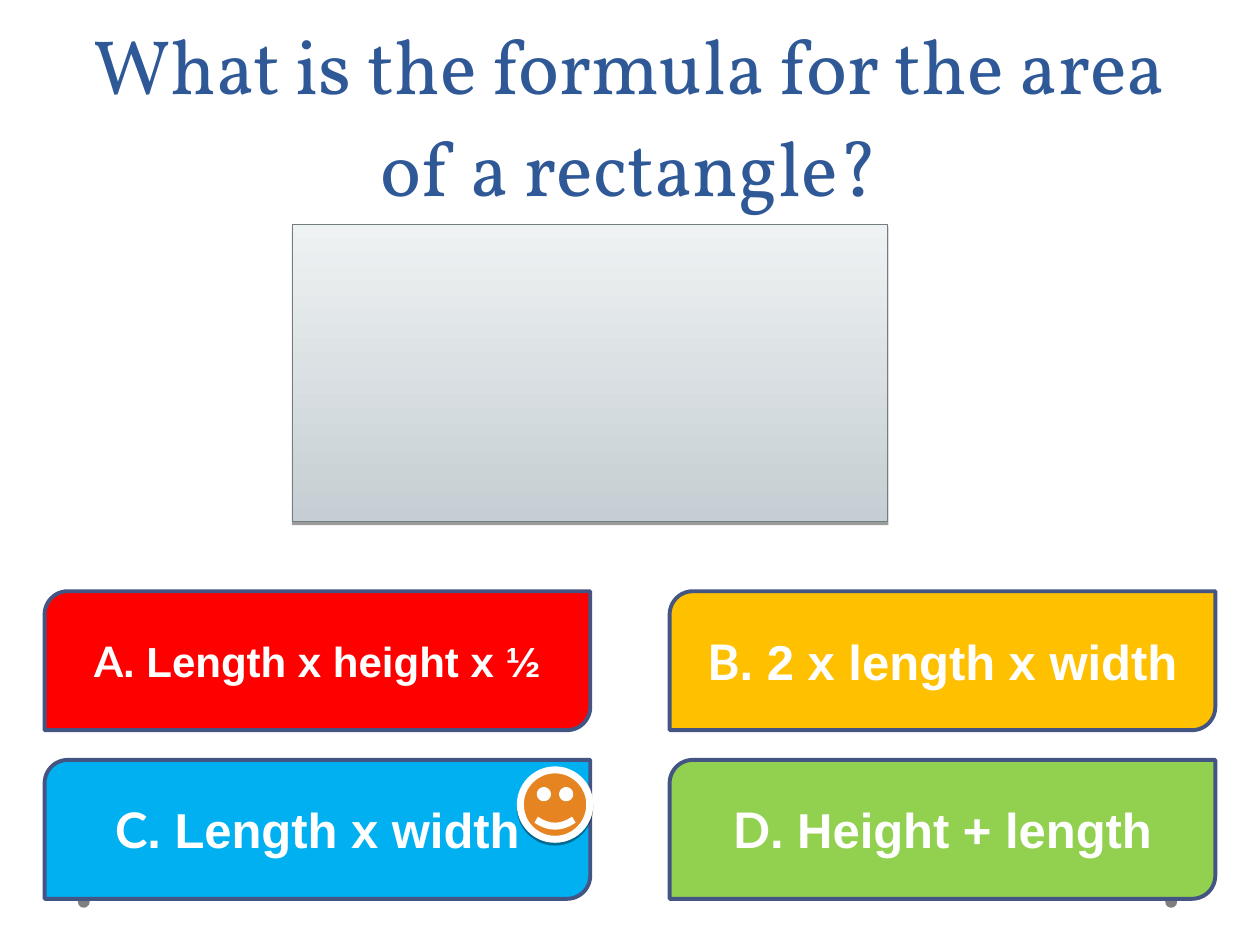
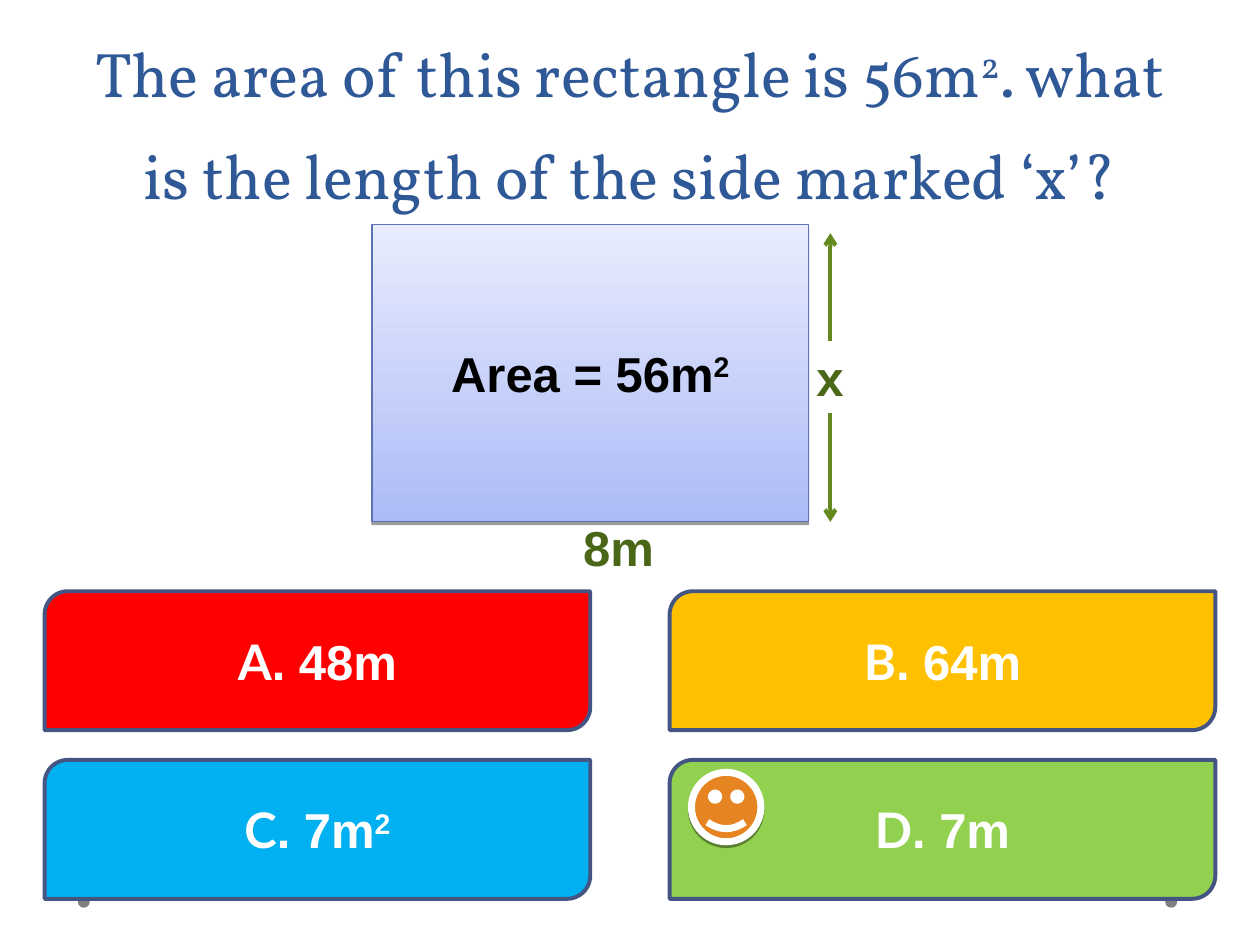
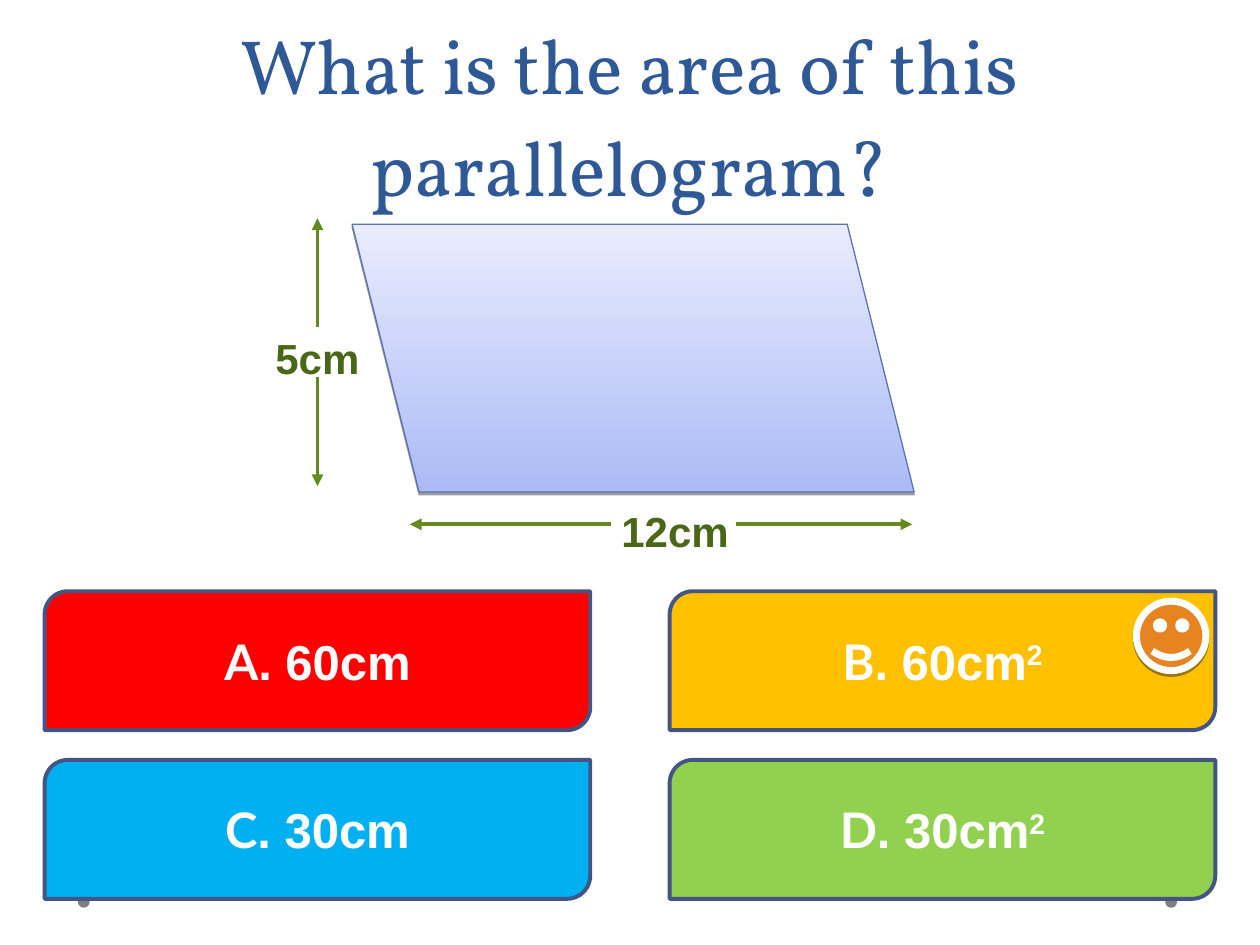
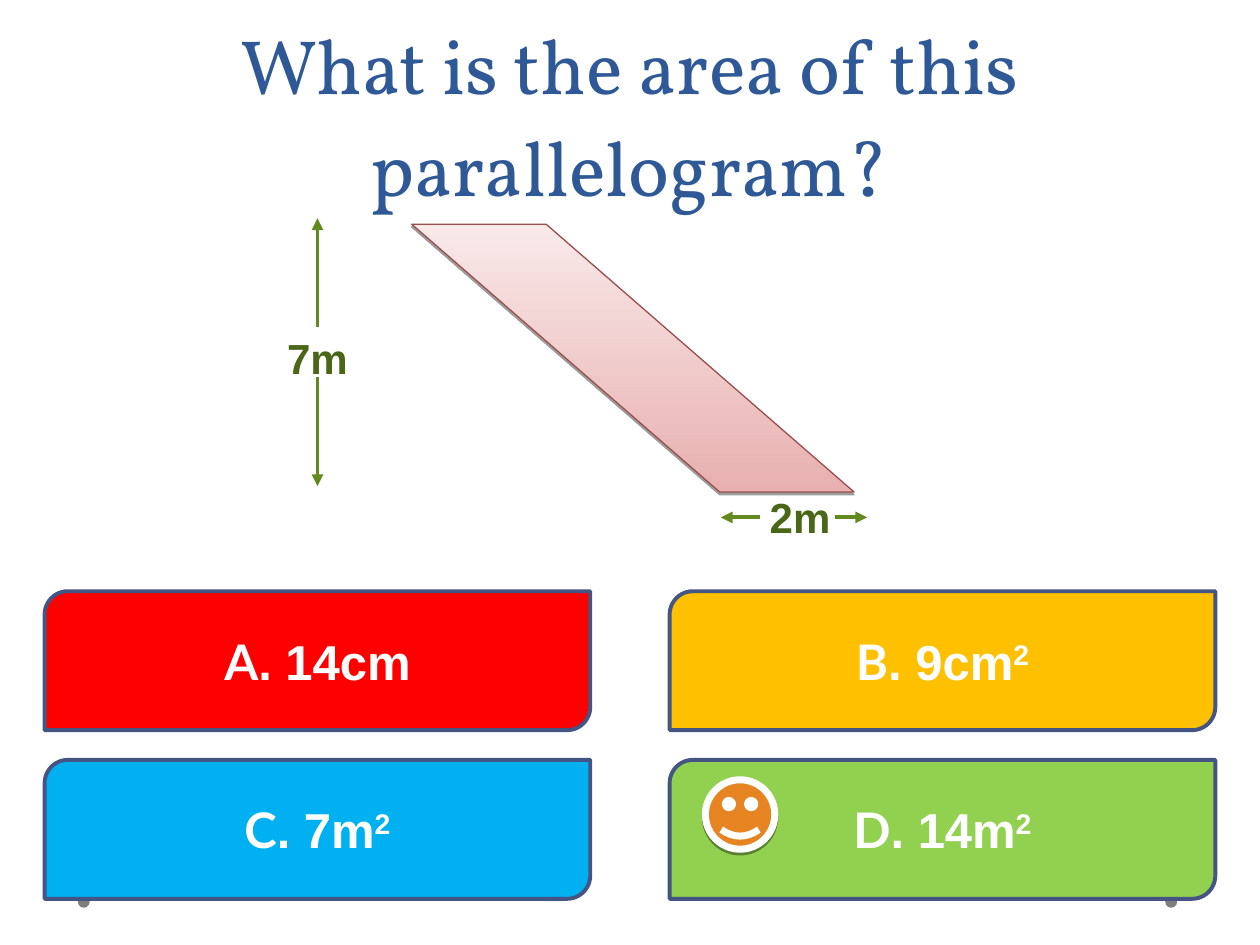
from dataclasses import dataclass
from typing import NamedTuple

from lxml.etree import SubElement
from pptx import Presentation
from pptx.dml.color import RGBColor
from pptx.enum.shapes import MSO_CONNECTOR, MSO_SHAPE
from pptx.enum.text import MSO_ANCHOR, MSO_AUTO_SIZE, PP_ALIGN
from pptx.oxml.ns import qn
from pptx.util import Cm, Pt


class Gradient(NamedTuple):
    bottom: str
    top: str
    edge: str


class Box(NamedTuple):
    left: float
    top: float
    width: float
    height: float

    def lengths(self) -> list:
        return [Cm(value) for value in self]


class Arrow(NamedTuple):
    start: tuple
    end: tuple
    head: str = "triangle"


@dataclass(frozen=True)
class Theme:
    title_font: str = "Vollkorn"
    letter_font: str = "Lato"
    body_font: str = "Arial"
    title: str = "2F5897"
    white: str = "FFFFFF"
    black: str = "000000"
    dot: str = "7F7F7F"
    answer_edge: str = "445583"
    answers: tuple = ("FF0000", "FFC000", "00B0F0", "92D050")
    smiley: str = "E68422"
    arrow: str = "63891F"
    label: str = "4A6717"
    grey: Gradient = Gradient("C5CED2", "EFF2F3", "727D82")
    blue: Gradient = Gradient("ACBBF6", "E8ECFD", "5C72B2")
    red: Gradient = Gradient("E8B0B0", "F9E9E9", "9A4E4E")
    title_size: int = 44
    long_title_size: int = 36
    title_leading: int = 58
    large: int = 28
    medium: int = 24
    thin_line: float = 0.75
    line: float = 2.25
    smiley_line: float = 4


THEME = Theme()
TITLE_BOX = Box(1.27, 0, 22.86, 4.45)
ANSWER_BOX = Box(0.9, 11.92, 11, 2.8)
ANSWER_STEP_X, ANSWER_STEP_Y = 12.6, 3.4
DOT_LEFTS, DOT_TOP, DOT_SIZE = (1.57, 23.49), 18.06, 0.24
SMILEY_SIZE = 1.4
FIGURE_TOP = 4.52


class Figure(NamedTuple):
    kind: MSO_SHAPE
    left: float
    width: float
    height: float
    colours: Gradient
    text: str = ""
    slant: float = 0


class Measure(NamedTuple):
    text: str
    box: Box
    size: int
    arrows: tuple = ()


class Question(NamedTuple):
    title: str
    answers: tuple
    smiley_at: tuple
    figure: Figure
    measures: tuple = ()
    title_size: int = THEME.title_size
    first_answer_size: int = THEME.large


def height_measure(text: str) -> Measure:
    middle = 6.4
    arrows = (Arrow((middle, 6.6), (middle, 4.4)), Arrow((middle, 7.6), (middle, 9.8)))
    return Measure(text, Box(4.98, 6.58, 2.84, 1.27), THEME.medium, arrows)


def base_measure(text: str, box: Box, level: float, left: tuple, right: tuple) -> Measure:
    arrows = tuple(Arrow((start, level), (end, level)) for start, end in (left, right))
    return Measure(text, box, THEME.medium, arrows)


QUESTIONS = (
    Question(
        "What is the formula for the area of a rectangle?",
        ("Length x height x ½", "2 x length x width", "Length x width", "Height + length"),
        (10.49, 15.52),
        Figure(MSO_SHAPE.RECTANGLE, 5.9, 12, 6, THEME.grey),
        first_answer_size=THEME.medium,
    ),
    Question(
        "The area of this rectangle is 56m^2. what is the length of the side marked ‘x’?",
        ("48m", "64m", "7m^2", "7m"),
        (13.94, 15.57),
        Figure(MSO_SHAPE.RECTANGLE, 7.5, 8.8, 6, THEME.blue, "Area = 56m^2"),
        (
            Measure("8m", Box(10.97, 10.31, 3, 1.45), THEME.large),
            Measure("x", Box(14.73, 6.88, 4, 1.45), THEME.large,
                    (Arrow((16.74, 8.33), (16.74, 10.52), "arrow"),
                     Arrow((16.74, 6.88), (16.74, 4.7), "arrow"))),
        ),
        title_size=THEME.long_title_size,
    ),
    Question(
        "What is the area of this parallelogram?",
        ("60cm", "60cm^2", "30cm", "30cm^2"),
        (22.91, 12.12),
        Figure(MSO_SHAPE.PARALLELOGRAM, 7.1, 11.33, 5.4, THEME.blue, slant=0.25),
        (
            base_measure("12cm", Box(11.96, 10.06, 3.3, 1.27), 10.57,
                         (12.32, 8.26), (14.83, 18.39)),
            height_measure("5cm"),
        ),
    ),
    Question(
        "What is the area of this parallelogram?",
        ("14cm", "9cm^2", "7m^2", "14m^2"),
        (14.22, 15.72),
        Figure(MSO_SHAPE.PARALLELOGRAM, 8.3, 8.92, 5.4, THEME.red, slant=1.15),
        (
            base_measure("2m", Box(14.48, 9.78, 3.3, 1.27), 10.43,
                         (15.32, 14.53), (16.84, 17.48)),
            height_measure("7m"),
        ),
    ),
)


def rgb(colour: str) -> RGBColor:
    return RGBColor.from_string(colour)


def add_span(para, text: str, *, font: str, size: int, colour: str, bold: bool,
             raised: bool = False) -> None:
    span = para.add_run()
    span.text = text
    span.font.name = font
    span.font.size = Pt(size)
    span.font.bold = bold
    span.font.color.rgb = rgb(colour)
    if raised:
        span._r.get_or_add_rPr().set("baseline", "30000")


def write(shape, text: str, *, size: int, colour: str, font: str = THEME.body_font,
          bold: bool = True, letter: str = "", leading: int = 0,
          anchor: MSO_ANCHOR = MSO_ANCHOR.MIDDLE) -> None:
    frame = shape.text_frame
    frame.word_wrap = True
    frame.vertical_anchor = anchor
    para = frame.paragraphs[0]
    para.alignment = PP_ALIGN.CENTER
    if leading:
        para.line_spacing = Pt(leading)
    style = dict(size=size, colour=colour, bold=bold)
    if letter:
        add_span(para, letter, font=THEME.letter_font, **style)
    first, *powers = text.split("^")
    add_span(para, first, font=font, **style)
    for power in powers:
        add_span(para, power[0], font=font, raised=True, **style)
        if power[1:]:
            add_span(para, power[1:], font=font, **style)


def add_shadow(shape) -> None:
    effects = shape._element.spPr.find(qn("a:effectLst"))
    shadow = SubElement(effects, qn("a:outerShdw"), blurRad="0", dist=str(Pt(1.6)),
                        dir="5400000", rotWithShape="0")
    colour = SubElement(shadow, qn("a:srgbClr"), val=THEME.black)
    SubElement(colour, qn("a:alpha"), val="38000")


def add_filled(page, kind: MSO_SHAPE, box: Box, fill: str | Gradient, *,
               edge: str = "", width: float = 0, shadow: bool = False):
    shape = page.shapes.add_shape(kind, *box.lengths())
    shape.shadow.inherit = False
    if isinstance(fill, Gradient):
        shape.fill.gradient()
        shape.fill.gradient_angle = 90
        for stop, colour in zip(shape.fill.gradient_stops, (fill.bottom, fill.top)):
            stop.color.rgb = rgb(colour)
    else:
        shape.fill.solid()
        shape.fill.fore_color.rgb = rgb(fill)
    if edge:
        shape.line.color.rgb = rgb(edge)
        shape.line.width = Pt(width)
    else:
        shape.line.fill.background()
    if shadow:
        add_shadow(shape)
    return shape


def add_arrow(page, arrow: Arrow) -> None:
    ends = [Cm(value) for value in (*arrow.start, *arrow.end)]
    connector = page.shapes.add_connector(MSO_CONNECTOR.STRAIGHT, *ends)
    connector.line.color.rgb = rgb(THEME.arrow)
    connector.line.width = Pt(THEME.line)
    SubElement(connector.line._get_or_add_ln(), qn("a:tailEnd"), type=arrow.head)
    SubElement(connector._element.spPr, qn("a:effectLst"))


def add_frame(page, question: Question) -> None:
    for left in DOT_LEFTS:
        add_filled(page, MSO_SHAPE.OVAL, Box(left, DOT_TOP, DOT_SIZE, DOT_SIZE), THEME.dot)
    title = page.shapes.add_textbox(*TITLE_BOX.lengths())
    write(title, question.title, size=question.title_size, colour=THEME.title,
          font=THEME.title_font, bold=False, leading=THEME.title_leading)


def add_answers(page, question: Question) -> None:
    for index, (text, fill) in enumerate(zip(question.answers, THEME.answers)):
        row, column = divmod(index, 2)
        box = ANSWER_BOX._replace(left=ANSWER_BOX.left + column * ANSWER_STEP_X,
                                  top=ANSWER_BOX.top + row * ANSWER_STEP_Y)
        answer = add_filled(page, MSO_SHAPE.ROUND_2_DIAG_RECTANGLE, box, fill,
                            edge=THEME.answer_edge, width=THEME.line)
        size = THEME.large if index else question.first_answer_size
        write(answer, f". {text}", size=size, colour=THEME.white, letter="ABCD"[index])


def add_smiley(page, position: tuple) -> None:
    smiley = add_filled(page, MSO_SHAPE.SMILEY_FACE, Box(*position, SMILEY_SIZE, SMILEY_SIZE),
                        THEME.smiley, edge=THEME.white, width=THEME.smiley_line, shadow=True)
    smiley.adjustments[0] = 0.09


def add_figure(page, figure: Figure) -> None:
    box = Box(figure.left, FIGURE_TOP, figure.width, figure.height)
    shape = add_filled(page, figure.kind, box, figure.colours, edge=figure.colours.edge,
                       width=THEME.thin_line, shadow=True)
    if figure.slant:
        shape.adjustments[0] = figure.slant
        shape._element.spPr.xfrm.set("flipH", "1")
    if figure.text:
        write(shape, figure.text, size=THEME.large, colour=THEME.black)


def add_measure(page, measure: Measure) -> None:
    for arrow in measure.arrows:
        add_arrow(page, arrow)
    label = page.shapes.add_textbox(*measure.box.lengths())
    write(label, measure.text, size=measure.size, colour=THEME.label, anchor=MSO_ANCHOR.TOP)
    label.text_frame.auto_size = MSO_AUTO_SIZE.SHAPE_TO_FIT_TEXT


def main() -> None:
    deck = Presentation()
    deck.slide_width, deck.slide_height = Cm(25.4), Cm(19.05)
    blank = deck.slide_layouts[6]
    for question in QUESTIONS:
        page = deck.slides.add_slide(blank)
        add_frame(page, question)
        add_answers(page, question)
        add_smiley(page, question.smiley_at)
        add_figure(page, question.figure)
        for measure in question.measures:
            add_measure(page, measure)
    deck.save("out.pptx")


if __name__ == "__main__":
    main()
